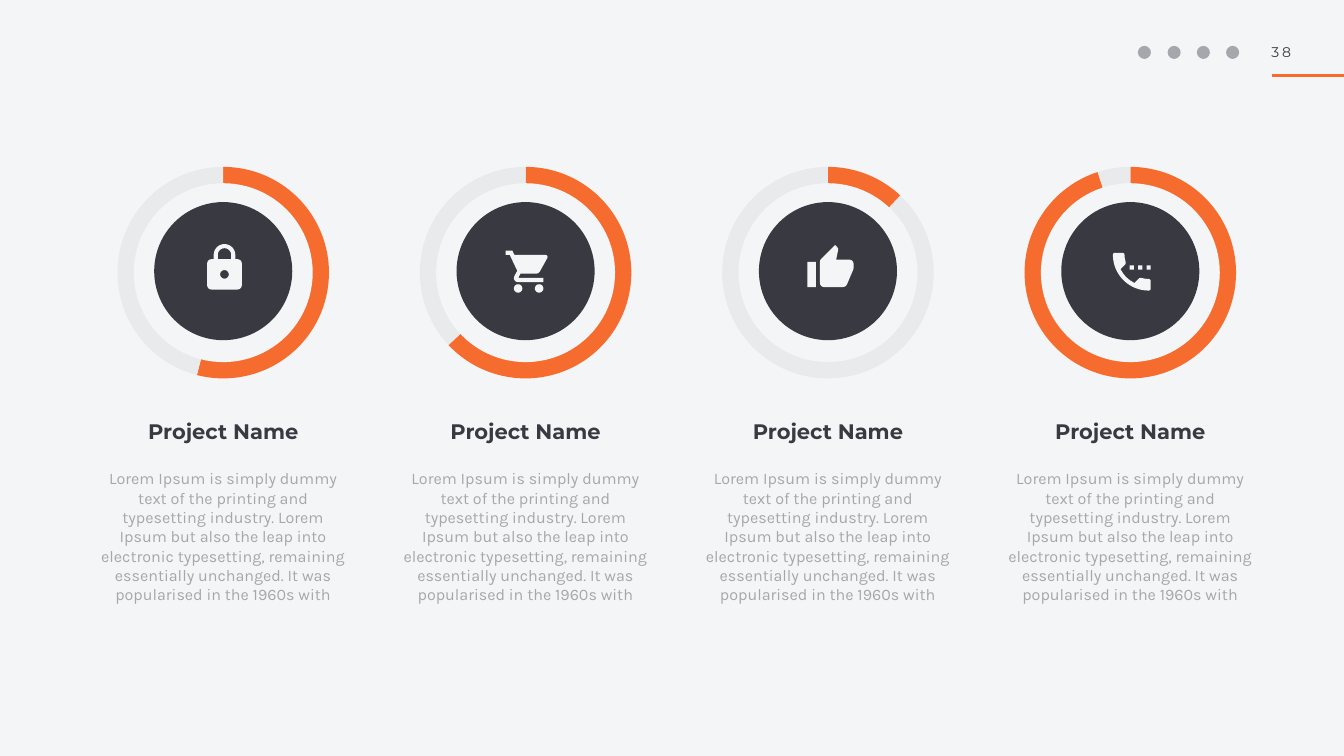
from math import cos, radians, sin

from lxml import etree
from pptx import Presentation
from pptx.chart.data import CategoryChartData
from pptx.dml.color import RGBColor
from pptx.enum.chart import XL_CHART_TYPE
from pptx.enum.shapes import MSO_CONNECTOR, MSO_SHAPE
from pptx.enum.text import MSO_ANCHOR, PP_ALIGN
from pptx.oxml import parse_xml
from pptx.oxml.ns import nsdecls, qn
from pptx.util import Inches, Pt

PIE = XL_CHART_TYPE.PIE
STRAIGHT = MSO_CONNECTOR.STRAIGHT
OVAL = MSO_SHAPE.OVAL
TOP, MIDDLE = MSO_ANCHOR.TOP, MSO_ANCHOR.MIDDLE
LEFT, CENTER = PP_ALIGN.LEFT, PP_ALIGN.CENTER

PAPER = RGBColor(0xF4, 0xF5, 0xF7)
ORANGE = RGBColor(0xF5, 0x6C, 0x2E)
DARK = RGBColor(0x39, 0x39, 0x41)
GREY = RGBColor(0xA6, 0xA7, 0xAC)
TRACK = RGBColor(0xE9, 0xEA, 0xEC)

SLIDE_W, SLIDE_H = 26.67, 15
RING = 4.24
BODY = ("Lorem Ipsum is simply dummy text of the printing and typesetting industry. "
        "Lorem Ipsum but also the leap into electronic typesetting, remaining "
        "essentially unchanged. It was popularised in the 1960s with")


def arc(cx, cy, r, start, end, steps=16):
    angles = [radians(start + (end - start) * i / steps) for i in range(steps + 1)]
    return [(cx + r * cos(a), cy + r * sin(a)) for a in angles]


def circle(cx, cy, r):
    return arc(cx, cy, r, 0, 360, 32)


def rect(x, y, w, h):
    return [(x, y), (x + w, y), (x + w, y + h), (x, y + h)]


# Icon outlines lie on a 24-unit grid.
LOCK = [
    arc(6, 10, 2, 180, 270) + arc(18, 10, 2, 270, 360)
    + arc(18, 20, 2, 0, 90) + arc(6, 20, 2, 90, 180),
    circle(12, 15, 2),
    arc(12, 6, 5, 180, 360) + [(17, 8), (15.1, 8)]
    + arc(12, 6, 3.1, 360, 180) + [(8.9, 8), (7, 8)],
]
CART = [
    circle(7, 20, 2),
    circle(17, 20, 2),
    [(1, 2), (1, 4), (3, 4), (6.6, 11.6), (5.25, 14.05)]
    + arc(7, 15, 2, 180, 90)
    + [(19, 17), (19, 15), (7.4, 15), (7.2, 14.7), (8.1, 13), (15.55, 13),
       (16.6, 12.7), (17.3, 12), (20.9, 5.5)]
    + arc(20, 5, 1, 0, -90) + [(5.2, 4), (4.25, 2)],
]
THUMB = [
    rect(1, 9, 4, 12),
    arc(21, 10, 2, 0, -90)
    + [(14.7, 8), (15.65, 3.4), (15.6, 2.6), (15.2, 2), (14.2, 1), (7.6, 7.6), (7.15, 8.2)]
    + [(7, 9)] + arc(9, 19, 2, 180, 90)
    + [(18, 21), (19.1, 20.7), (19.85, 19.8), (22.85, 12.7), (23, 12)],
]
PHONE = [
    arc(20, 4, 17, 180, 90, 32) + arc(20, 20, 1, 90, 0) + arc(20, 16.5, 1, 0, -90)
    + [(18.2, 15.35), (16.4, 14.95), (15.8, 14.95), (15.4, 15.2), (13.2, 17.4)]
    + [(11.1, 16.1), (9.3, 14.6), (7.8, 12.8), (6.6, 10.8)]
    + [(8.8, 8.6), (9.1, 8.1), (9.1, 7.6), (8.65, 5.8)]
    + arc(7.5, 4, 1, 0, -90) + arc(4, 4, 1, 270, 180),
] + [rect(x, 9, 2, 2) for x in (11, 15, 19)]


def add_text(s, x, y, w, h, text, font, size, color, bold=False, align=LEFT, anchor=TOP):
    tf = s.shapes.add_textbox(Inches(x), Inches(y), Inches(w), Inches(h)).text_frame
    tf.word_wrap = True
    tf.vertical_anchor = anchor
    tf.margin_left = tf.margin_right = tf.margin_top = tf.margin_bottom = Inches(0.04)
    p = tf.paragraphs[0]
    r = p.add_run()
    r.text = text
    p.alignment = align
    p.font.name = font
    p.font.size = Pt(size)
    p.font.bold = bold
    p.font.color.rgb = color
    return p


def add_disc(s, cx, cy, d, color):
    sp = s.shapes.add_shape(OVAL, Inches(cx - d / 2), Inches(cy - d / 2), Inches(d), Inches(d))
    sp.shadow.inherit = False
    sp.fill.solid()
    sp.fill.fore_color.rgb = color
    sp.line.fill.background()


def add_icon(s, x, y, size, contours):
    unit = Inches(size) / 24
    outlines = [[(round(Inches(x) + px * unit), round(Inches(y) + py * unit)) for px, py in c]
                for c in contours]
    fb = s.shapes.build_freeform(*outlines[0][0])
    for i, points in enumerate(outlines):
        if i:
            fb.move_to(*points[0])
        fb.add_line_segments(points[1:], close=True)
    sp = fb.convert_to_shape()
    sp.shadow.inherit = False
    sp.fill.solid()
    sp.fill.fore_color.rgb = PAPER
    sp.line.fill.background()


def add_pie(s, x, y, size, percent):
    data = CategoryChartData()
    data.categories = ["1", "2"]
    data.add_series("Series 1", (percent, 100 - percent))
    chart = s.shapes.add_chart(PIE, Inches(x), Inches(y), Inches(size), Inches(size), data).chart
    chart.has_legend = False
    chart.has_title = False
    chart.font.name = "Montserrat"
    chart.font.size = Pt(10)
    chart.font.color.rgb = GREY
    plot = chart.plots[0]
    plot.vary_by_categories = False
    series = plot.series[0]
    series.format.fill.solid()
    series.format.fill.fore_color.rgb = ORANGE
    for i, color in enumerate((ORANGE, TRACK)):
        fmt = series.points[i].format
        fmt.fill.solid()
        fmt.fill.fore_color.rgb = color
        fmt.line.fill.background()
    area = chart._chartSpace.chart.plotArea
    for old in area.findall(qn("c:layout")):
        area.remove(old)
    area.insert(0, parse_xml(
        f'<c:layout {nsdecls("c")}><c:manualLayout><c:layoutTarget val="inner"/>'
        '<c:xMode val="edge"/><c:yMode val="edge"/><c:x val="0.005"/><c:y val="0.005"/>'
        '<c:w val="0.99"/><c:h val="0.99"/></c:manualLayout></c:layout>'))


def add_project(s, x, y, percent, icon, dx, dy, icon_size):
    cx = x + RING / 2
    add_pie(s, x, y, RING, percent)
    add_disc(s, cx, y + 2.12, 3.55, PAPER)
    add_disc(s, cx, y + 2.09, 2.74, DARK)
    add_icon(s, x + dx, y + dy, icon_size, icon)
    add_text(s, cx - 2.5, y + 5.97, 5, 2.83, BODY, "Karla", 23, GREY, align=CENTER)
    p = add_text(s, cx - 2.49, y + 5.02, 4.98, 0.6, "Project Name", "Montserrat", 30, DARK,
                 True, CENTER, MIDDLE)
    p.line_spacing = 0.8


def add_header(s):
    for cx in (22.71, 23.3, 23.88, 24.46):
        add_disc(s, cx, 1.04, 0.26, GREY)
    line = s.shapes.add_connector(STRAIGHT, Inches(25.24), Inches(1.5), Inches(SLIDE_W), Inches(1.5))
    line.line.color.rgb = ORANGE
    line.line.width = Pt(4)
    etree.SubElement(line._element.spPr, qn("a:effectLst"))
    p = add_text(s, 25.19, 0.83, 0.66, 0.42, "38", "Montserrat", 20, DARK)
    p.runs[0]._r.get_or_add_rPr().set("spc", "400")


def main():
    prs = Presentation()
    prs.slide_width, prs.slide_height = Inches(SLIDE_W), Inches(SLIDE_H)
    s = prs.slides.add_slide(prs.slide_layouts[6])
    s.background.fill.solid()
    s.background.fill.fore_color.rgb = PAPER
    add_header(s)
    projects = [(54, LOCK, 1.63, 1.51, 1.03), (63, CART, 1.68, 1.6, 1),
                (12, THUMB, 1.67, 1.53, 1), (95, PHONE, 1.65, 1.6, 1)]
    for i, project in enumerate(projects):
        add_project(s, 2.31 + 6 * i, 3.29, *project)
    prs.save("out.pptx")


if __name__ == "__main__":
    main()
